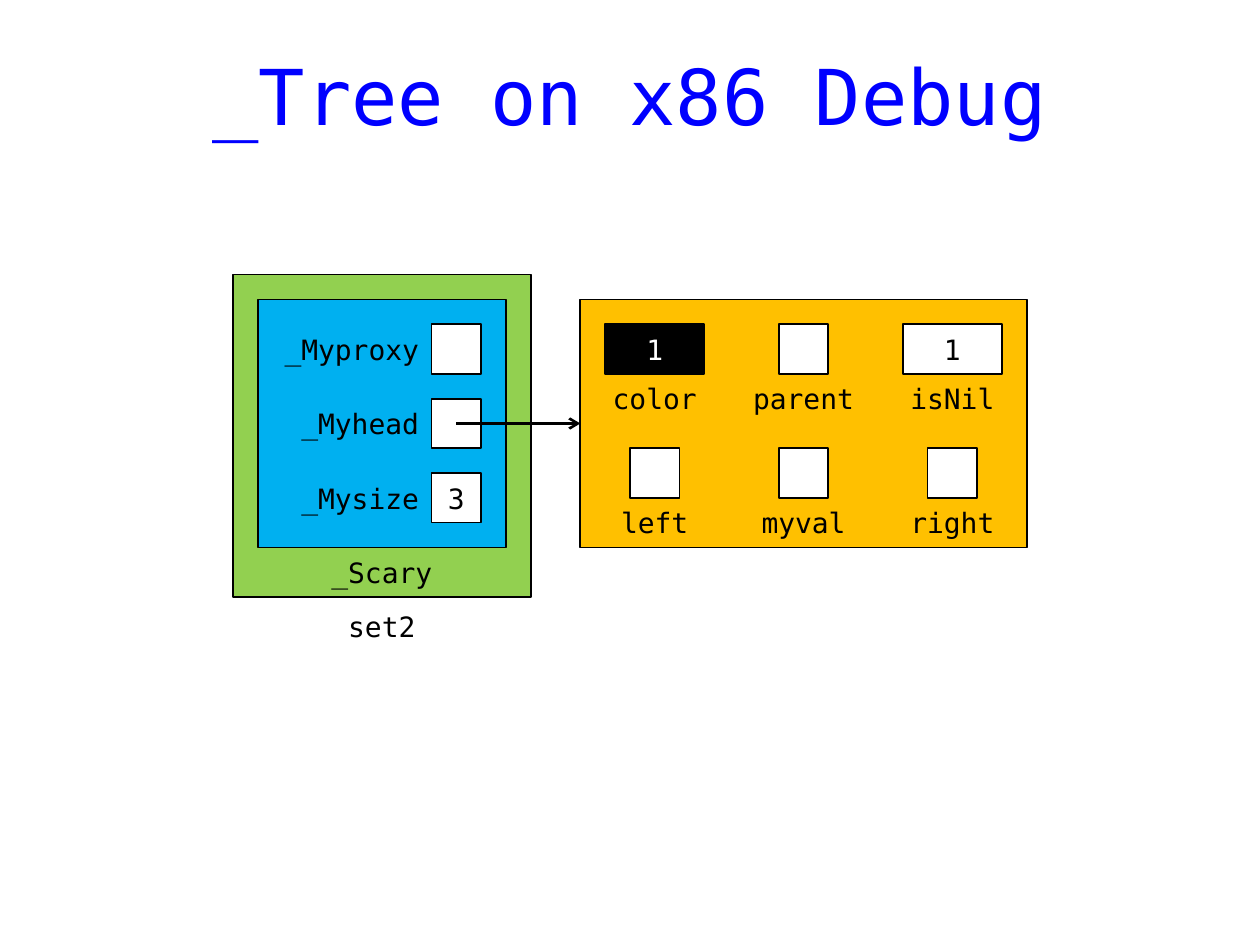
from lxml import etree
from pptx import Presentation
from pptx.dml.color import RGBColor
from pptx.enum.shapes import MSO_CONNECTOR as Connector, MSO_SHAPE as Shape
from pptx.enum.text import MSO_ANCHOR as Anchor, PP_ALIGN as Align
from pptx.oxml.ns import qn
from pptx.util import Inches, Pt

BLACK = RGBColor(0x00, 0x00, 0x00)
WHITE = RGBColor(0xFF, 0xFF, 0xFF)
BLUE = RGBColor(0x00, 0x00, 0xFF)
GREEN = RGBColor(0x92, 0xD0, 0x50)
CYAN = RGBColor(0x00, 0xB0, 0xF0)
AMBER = RGBColor(0xFF, 0xC0, 0x00)
FONT = "DejaVu Sans Mono"

# Content
TITLE = "_Tree on x86 Debug"
SET_NAME, SCARY_NAME = "set2", "_Scary"
# member, value, label width in grid units
MEMBERS = [("_Myproxy", "", 7), ("_Myhead", "", 6), ("_Mysize", "3", 6)]
# field, value, box width, label width, fill, text colour
NODE_ROWS = [
    [("color", "1", 4, 6, BLACK, WHITE),
     ("parent", "", 2, 6, WHITE, BLACK),
     ("isNil", "1", 4, 6, WHITE, BLACK)],
    [("left", "", 2, 4, WHITE, BLACK),
     ("myval", "", 2, 6, WHITE, BLACK),
     ("right", "", 2, 6, WHITE, BLACK)],
]

# The diagram sits on a 5 mm grid that starts at the corner of the set
UNIT = 5 / 25.4
LEFT, TOP = 1.85, 2.18


def grid_x(column):
    return Inches(LEFT + column * UNIT)


def grid_y(row):
    return Inches(TOP + row * UNIT)


def span(units):
    return Inches(units * UNIT)


def write(shape, text, size=16, color=BLACK, align=Align.CENTER,
          insets=(0.1, 0, 0.1, 0), wrap=True):
    frame = shape.text_frame
    sides = ("margin_left", "margin_top", "margin_right", "margin_bottom")
    for side, inset in zip(sides, insets):
        setattr(frame, side, Inches(inset))
    frame.word_wrap = wrap
    frame.vertical_anchor = Anchor.MIDDLE
    paragraph = frame.paragraphs[0]
    paragraph.alignment = align
    run = paragraph.add_run()
    run.text = text
    for name, value in {"name": FONT, "size": Pt(size)}.items():
        setattr(run.font, name, value)
    run.font.color.rgb = color
    return paragraph


def add_box(column, row, width, height, fill, value="", color=BLACK):
    box = slide.shapes.add_shape(Shape.RECTANGLE, grid_x(column), grid_y(row),
                                 span(width), span(height))
    box.shadow.inherit = False
    box.fill.solid()
    box.fill.fore_color.rgb = fill
    box.line.color.rgb = BLACK
    box.line.width = Pt(1)
    if value:
        write(box, value, color=color, insets=(0.04, 0.05, 0.04, 0.05))
    return box


def add_label(text, column, row, width, height=2, **style):
    label = slide.shapes.add_textbox(grid_x(column), grid_y(row),
                                     span(width), span(height))
    write(label, text, wrap=False, **style)


prs = Presentation()
prs.slide_width, prs.slide_height = Inches(10), Inches(7.5)
slide = prs.slides.add_slide(prs.slide_layouts[6])

# Title
title = slide.shapes.add_textbox(Inches(0.47), Inches(0.21), Inches(9.06), Inches(1.18))
write(title, TITLE, size=44, color=BLUE, insets=(0.1, 0.05, 0.1, 0.05)).line_spacing = 0.9

# Set with its nested part
add_box(0, 0, 12, 13, GREEN)
add_box(1, 1, 10, 10, CYAN)
add_label(SCARY_NAME, 3, 11, 6)
add_label(SET_NAME, 4, 13, 4, 3, insets=(0.1, 0, 0.1, 0.12))

for index, (member, value, label_width) in enumerate(MEMBERS):
    row = 2 + 3 * index
    add_box(8, row, 2, 2, WHITE, value)
    add_label(member, 8 - label_width, row, label_width, align=Align.RIGHT)

# Head node: fields centred in three columns
node = add_box(14, 1, 18, 10, AMBER)
for row_index, fields in enumerate(NODE_ROWS):
    row = 2 + 5 * row_index
    for index, (field, value, width, label_width, fill, color) in enumerate(fields):
        center = 17 + 6 * index
        add_box(center - width / 2, row, width, 2, fill, value, color)
        add_label(field, center - label_width / 2, row + 2, label_width)

# Pointer from _Myhead to the node
pointer = slide.shapes.add_connector(Connector.STRAIGHT, grid_x(9), grid_y(6),
                                     grid_x(14), grid_y(6))
pointer.end_connect(node, 1)
pointer.line.color.rgb = BLACK
pointer.line.width = Pt(1.5)
etree.SubElement(pointer.line._get_or_add_ln(), qn("a:tailEnd"), type="arrow")
etree.SubElement(pointer._element.spPr, qn("a:effectLst"))

prs.save("out.pptx")
